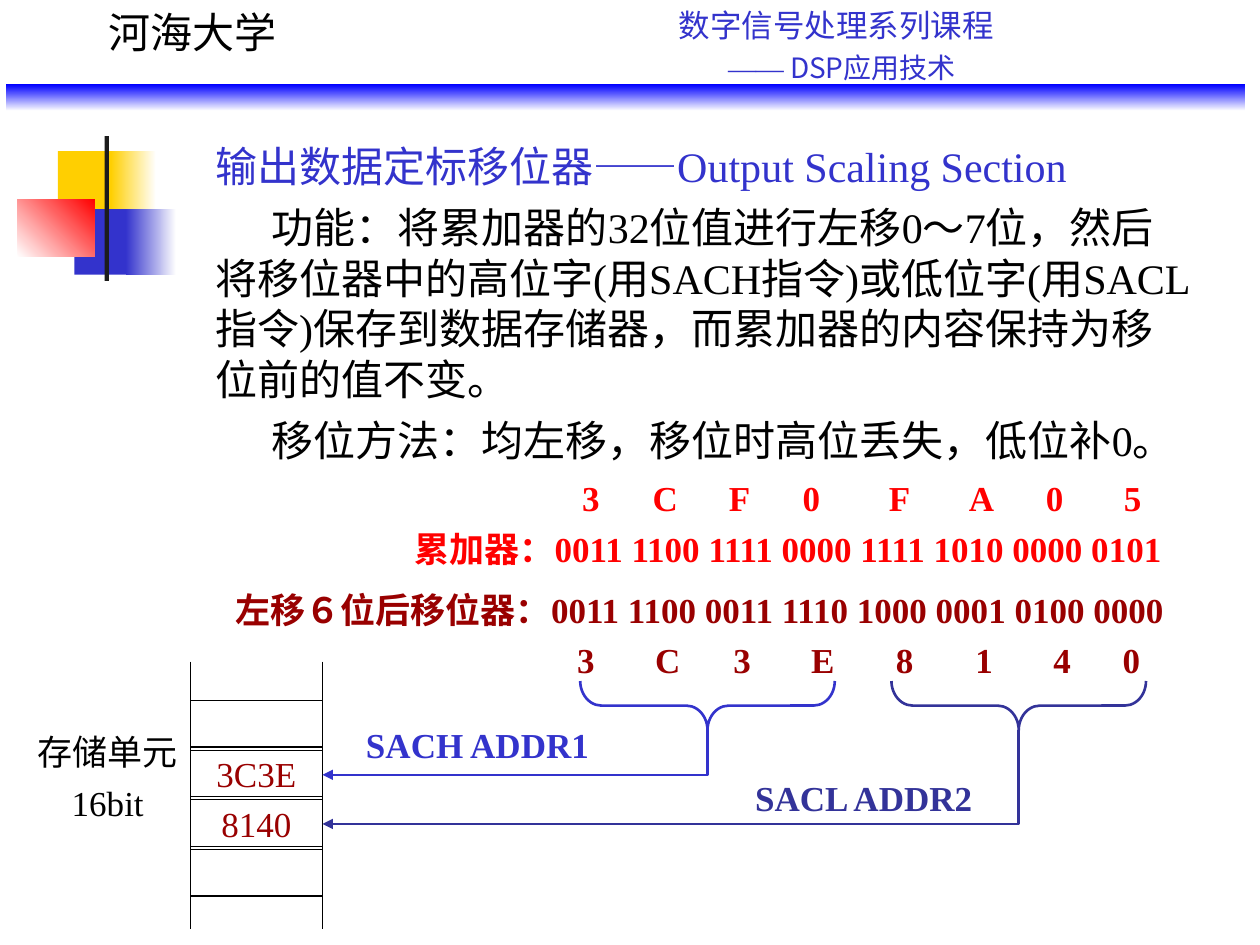
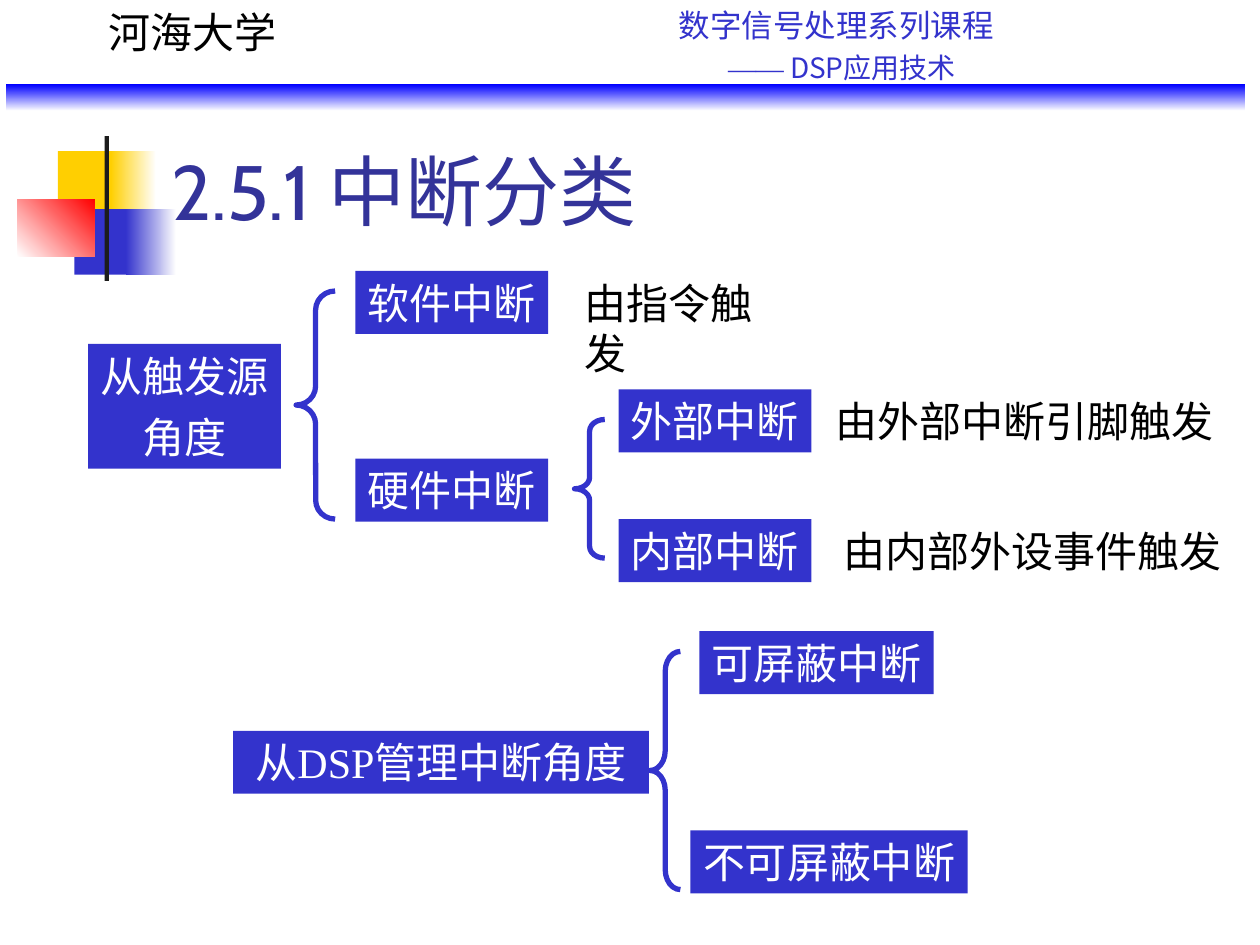
from dataclasses import dataclass

from lxml import etree
from pptx import Presentation
from pptx import util as u
from pptx.dml.color import RGBColor
from pptx.enum import shapes, text
from pptx.oxml.ns import qn

# Grid: 100 columns by 75 rows, each cell a tenth of an inch
COLUMNS, ROWS = 100, 75
CELL = u.Inches(0.1)

BLUE, NAVY, BRIGHT_BLUE = "3333CC", "333399", "0000FF"
YELLOW, RED, DARK_RED = "FFCF01", "FF0000", "990000"
BLACK, WHITE, CHARCOAL = "000000", "FFFFFF", "1C1C1C"
SERIF, SANS, TITLE_FONT = "Times New Roman", "Noto Sans CJK SC", "Cabin"
LEFT, CENTER = text.PP_ALIGN.LEFT, text.PP_ALIGN.CENTER


@dataclass(frozen=True)
class Box:
    column: float
    row: float
    width: float
    height: float

    def lengths(self) -> list[int]:
        return [cells(value) for value in (self.column, self.row, self.width, self.height)]


@dataclass(frozen=True)
class Style:
    size: float = 24
    color: str = BLACK
    font: str = SERIF
    bold: bool = False
    align: text.PP_ALIGN = LEFT
    gap: float = 6


@dataclass(frozen=True)
class Line:
    words: str
    style: Style
    margin: float = 0
    indent: float = 0
    dash: str = ""


@dataclass(frozen=True)
class Panel:
    box: Box
    start: str
    end: str = ""
    angle: float = 0


@dataclass(frozen=True)
class Register:
    """A line of bits and the hex digits that stand over or under it."""
    bits: str
    bits_box: Box
    digits: str
    digit_row: float
    digit_centers: tuple[float, ...]
    color: str


@dataclass(frozen=True)
class Transfer:
    """A 16-bit half of the shifter, stored by one instruction."""
    brace: Box
    color: str
    target_row: float
    label: str
    label_box: Box


def cells(count: float) -> int:
    return round(count * CELL)


def rgb(value: str) -> RGBColor:
    return RGBColor.from_string(value)


# Text
def add_run(paragraph, words: str):
    run = paragraph.add_run()
    run.text = words
    east_asian = etree.SubElement(run._r.get_or_add_rPr(), qn("a:ea"))
    east_asian.set("typeface", SANS)
    return run


def write(shape, lines: list[Line], wrap: bool = False, inset: float | None = None,
          anchor=text.MSO_ANCHOR.TOP) -> None:
    frame = shape.text_frame
    frame.word_wrap = wrap
    frame.vertical_anchor = anchor
    if inset is not None:
        frame.margin_left = frame.margin_right = cells(inset)
        frame.margin_top = frame.margin_bottom = cells(inset)
    for index, line in enumerate(lines):
        paragraph = frame.paragraphs[0] if index == 0 else frame.add_paragraph()
        if line.dash:
            add_run(paragraph, line.dash).font.name = SERIF
        add_run(paragraph, line.words)
        properties = paragraph._p.get_or_add_pPr()
        properties.set("marL", str(cells(line.margin)))
        properties.set("indent", str(cells(line.indent)))
        paragraph.alignment = line.style.align
        if index:
            paragraph.space_before = u.Pt(line.style.gap)
        font = paragraph.font
        font.size, font.bold = u.Pt(line.style.size), line.style.bold
        font.name = line.style.font
        font.color.rgb = rgb(line.style.color)


def add_text(slide, box: Box, lines: list[Line], wrap: bool = False, **options) -> None:
    shape = slide.shapes.add_textbox(*box.lengths())
    write(shape, lines, wrap, **options)
    if not wrap:
        shape.text_frame.auto_size = text.MSO_AUTO_SIZE.SHAPE_TO_FIT_TEXT


# Shapes
def add_rectangle(slide, box: Box, fill: str = "", line: str = ""):
    shape = slide.shapes.add_shape(shapes.MSO_SHAPE.RECTANGLE, *box.lengths())
    shape.shadow.inherit = False
    if fill:
        shape.fill.solid()
        shape.fill.fore_color.rgb = rgb(fill)
    else:
        shape.fill.background()
    if line:
        shape.line.color.rgb = rgb(line)
        shape.line.width = u.Pt(0.75)
    else:
        shape.line.fill.background()
    return shape


def add_panel(slide, panel: Panel) -> None:
    shape = add_rectangle(slide, panel.box, panel.start)
    if panel.end:
        shape.fill.gradient()
        shape.fill.gradient_angle = panel.angle
        for stop, color in zip(shape.fill.gradient_stops, (panel.start, panel.end)):
            stop.color.rgb = rgb(color)


def add_brace(slide, box: Box, color: str, weight: float, rotation: float = 0) -> None:
    shape = slide.shapes.add_shape(shapes.MSO_SHAPE.LEFT_BRACE, *box.lengths())
    shape.shadow.inherit = False
    shape.fill.background()
    shape.line.color.rgb = rgb(color)
    shape.line.width = u.Pt(weight)
    shape.adjustments[0] = box.height / 12 / box.width
    shape.rotation = rotation


def add_line(slide, kind, start: tuple[float, float], end: tuple[float, float],
             color: str, weight: float):
    points = [cells(value) for value in (*start, *end)]
    connector = slide.shapes.add_connector(kind, *points)
    connector.line.color.rgb = rgb(color)
    connector.line.width = u.Pt(weight)
    etree.SubElement(connector._element.spPr, qn("a:effectLst"))
    return connector


def add_corner_arrow(slide, start: tuple[float, float], end: tuple[float, float],
                     color: str) -> None:
    """Run down from start, then left to end: a quarter-turned elbow."""
    drop, reach = end[1] - start[1], start[0] - end[0]
    left = (start[0] + end[0] - drop) / 2
    top = (start[1] + end[1] - reach) / 2
    connector = add_line(slide, shapes.MSO_CONNECTOR.ELBOW, (left, top),
                         (left + drop, top + reach), color, 1.5)
    properties = connector._element.spPr
    properties.find(qn("a:xfrm")).set("rot", str(90 * 60000))
    properties.find(qn("a:prstGeom")).set("prst", "bentConnector2")
    etree.SubElement(properties.find(qn("a:ln")), qn("a:tailEnd"), type="triangle")


# Shared header and ornament
ORNAMENT = [
    Panel(Box(4.6, 12, 4.8, 5.2), YELLOW),
    Panel(Box(8.8, 12, 3.6, 5.2), YELLOW, WHITE),
    Panel(Box(5.9, 16.6, 4.6, 5.2), BLUE),
    Panel(Box(10, 16.6, 4, 5.2), BLUE, WHITE),
    Panel(Box(1.4, 15.8, 6.1, 4.6), WHITE, RED, 45),
    Panel(Box(8.3, 10.8, 0.35, 11.5), CHARCOAL),
]
BAND = Panel(Box(0.5, 6.7, 98.3, 2.1), BRIGHT_BLUE, WHITE, 270)


def add_base_slide(presentation):
    slide = presentation.slides.add_slide(presentation.slide_layouts[6])
    for panel in ORNAMENT:
        add_panel(slide, panel)
    add_text(slide, Box(40, 0, 58, 12.9), [
        Line("数字信号处理系列课程", Style(18, BLUE, SANS), margin=12.9),
        Line(" DSP应用技术", Style(16, BLUE, SANS, gap=4), margin=16.8, dash="——"),
    ], wrap=True)
    add_panel(slide, BAND)
    add_text(slide, Box(7.6, 0, 15.3, 5), [Line("河海大学", Style())])
    return slide


# Slide 1: output scaling shifter
MEMORY_LEFT, MEMORY_WIDTH = 15.1, 10.5
MEMORY_RIGHT = MEMORY_LEFT + MEMORY_WIDTH
MEMORY_TOP, MEMORY_PITCH, MEMORY_CELL = 55.6, 3.94, 3.7
MEMORY_WORDS = ["", "3C3E", "8140", ""]
DIGIT_WIDTH, DIGIT_HEIGHT = 4, 4.4
REGISTERS = [
    Register("累加器：0011 1100 1111 0000 1111 1010 0000 0101", Box(31.9, 41.4, 63.8, 4.4),
             "3CF0FA05", 37.3, (46.9, 52.8, 58.7, 64.4, 71.4, 77.9, 83.7, 89.9), RED),
    Register("左移６位后移位器：0011 1100 0011 1110 1000 0001 0100 0000", Box(17.7, 46.2, 78, 4.4),
             "3C3E8140", 50.2, (46.5, 53, 58.9, 65.3, 71.8, 78.1, 84.3, 89.8), DARK_RED),
]
TRANSFERS = [
    Transfer(Box(54.2, 45.9, 3.9, 20.2), BLUE, 61.5, "SACH ADDR1", Box(28, 56.9, 19.8, 4.4)),
    Transfer(Box(78.9, 45.9, 3.9, 20.2), NAVY, 65.4, "SACL ADDR2", Box(58.8, 61.1, 19.5, 4.4)),
]


def add_register(slide, register: Register) -> None:
    bits = Style(20, register.color, bold=True)
    digit_style = Style(20, register.color, bold=True, align=CENTER)
    add_text(slide, register.bits_box, [Line(register.bits, bits)], wrap=True)
    for digit, center in zip(register.digits, register.digit_centers):
        box = Box(center - DIGIT_WIDTH / 2, register.digit_row, DIGIT_WIDTH, DIGIT_HEIGHT)
        add_text(slide, box, [Line(digit, digit_style)], wrap=True)


def build_shifter_slide(presentation) -> None:
    slide = add_base_slide(presentation)
    add_text(slide, Box(16.1, 10.7, 79.5, 26.7), [
        Line("输出数据定标移位器——Output Scaling Section", Style(color=BLUE)),
        Line("功能：将累加器的32位值进行左移0～7位，然后将移位器中的高位字(用SACH指令)"
             "或低位字(用SACL指令)保存到数据存储器，而累加器的内容保持为移位前的值不变。",
             Style(), indent=4.5),
        Line("移位方法：均左移，移位时高位丢失，低位补0。", Style(), indent=4.5),
    ], wrap=True)
    for register in REGISTERS:
        add_register(slide, register)

    # Memory column
    plain = Style(20, align=CENTER, gap=5)
    add_text(slide, Box(2, 57.5, 13.1, 8.4), [Line("存储单元", plain), Line("16bit", plain)])
    for index, word in enumerate(MEMORY_WORDS):
        row = MEMORY_TOP + index * MEMORY_PITCH
        cell = add_rectangle(slide, Box(MEMORY_LEFT, row, MEMORY_WIDTH, MEMORY_CELL), line=BLACK)
        if word:
            write(cell, [Line(word, Style(20, DARK_RED, align=CENTER))], wrap=True, inset=0.2)
    for column in (MEMORY_LEFT, MEMORY_RIGHT):
        add_line(slide, shapes.MSO_CONNECTOR.STRAIGHT, (column, 52.5), (column, 73.7), BLACK, 0.75)

    # Store instructions
    for transfer in TRANSFERS:
        brace = transfer.brace
        add_brace(slide, brace, transfer.color, 1.5, rotation=270)
        tip = (brace.column + brace.width / 2, brace.row + (brace.height + brace.width) / 2)
        add_corner_arrow(slide, tip, (MEMORY_RIGHT, transfer.target_row), transfer.color)
        add_text(slide, transfer.label_box, [
            Line(transfer.label, Style(20, transfer.color, bold=True, align=CENTER))])


# Slide 2: interrupt classes
CLASSES = [
    (Box(28.2, 21.5, 15.3, 5), ["软件中断"]),
    (Box(28.2, 36.4, 15.3, 5), ["硬件中断"]),
    (Box(49.1, 30.9, 15.3, 5), ["外部中断"]),
    (Box(49.1, 41.2, 15.3, 5), ["内部中断"]),
    (Box(55.5, 50.1, 18.6, 5), ["可屏蔽中断"]),
    (Box(54.8, 65.9, 22, 5), ["不可屏蔽中断"]),
    (Box(18.5, 58, 33, 5), ["从DSP管理中断角度"]),
    (Box(7, 27.3, 15.3, 9.9), ["从触发源", "角度"]),
]
TRIGGERS = [
    (Box(45.4, 21.5, 18.6, 5), "由指令触发"),
    (Box(65.3, 30.9, 32, 5), "由外部中断引脚触发"),
    (Box(66, 41.2, 32, 5), "由内部外设事件触发"),
]
BRACES = [Box(23.5, 23.1, 3.1, 18.1), Box(45.6, 33.3, 2.4, 11), Box(51.6, 51.7, 2.4, 18.9)]


def build_interrupt_slide(presentation) -> None:
    slide = add_base_slide(presentation)
    add_text(slide, Box(12.6, 6.7, 85.2, 12.5),
             [Line("2.5.1 中断分类", Style(44, NAVY, TITLE_FONT))],
             wrap=True, anchor=text.MSO_ANCHOR.BOTTOM)
    for box in BRACES:
        add_brace(slide, box, BLUE, 3)
    for box, words in CLASSES:
        style = Style(color=WHITE, align=CENTER)
        write(add_rectangle(slide, box, BLUE), [Line(word, style) for word in words])
    for box, words in TRIGGERS:
        add_text(slide, box, [Line(words, Style())])


def main() -> None:
    presentation = Presentation()
    presentation.slide_width, presentation.slide_height = cells(COLUMNS), cells(ROWS)
    build_shifter_slide(presentation)
    build_interrupt_slide(presentation)
    presentation.save("out.pptx")


if __name__ == "__main__":
    main()
